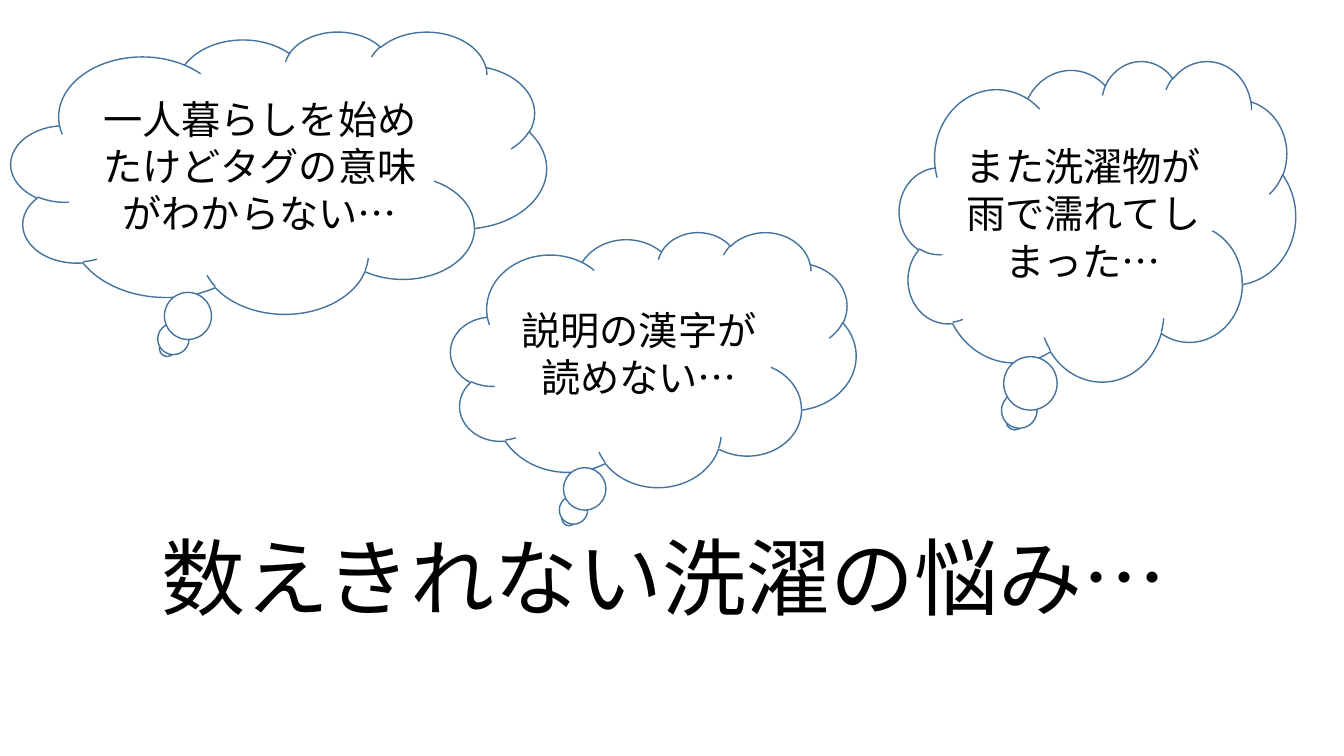
import pptx
import pptx.util
import pptx.dml.color
import pptx.enum.shapes
import pptx.enum.text
import pptx.oxml
import pptx.oxml.ns

WIDTH, HEIGHT = 13.33, 7.5
FACE = "Noto Sans CJK JP"
COLORS = {"paper": "FFFFFF", "line": "43739E", "ink": "000000"}
CLOUDS = [
    ("一人暮らしを始めたけどタグの意味がわからない…", (0.11, 0.31, 5.31, 2.8)),
    ("説明の漢字が読めない…", (4.47, 2.3, 4.02, 2.53)),
    ("また洗濯物が雨で濡れてしまった…", (8.92, 0.6, 3.93, 3.18)),
]
TITLE = ("数えきれない洗濯の悩み…", (1.19, 5.16, 10.79, 1.11))


def color(name):
    return pptx.dml.color.RGBColor.from_string(COLORS[name])


def inches(box):
    return [pptx.util.Inches(side) for side in box]


def write(shape, text, size):
    frame = shape.text_frame
    frame.word_wrap = True
    para = frame.paragraphs[0]
    para.text = text
    para.alignment = pptx.enum.text.PP_ALIGN.CENTER
    font = para.font
    font.size = pptx.util.Pt(size)
    font.color.rgb = color("ink")
    font.name = FACE
    props = para._p.pPr.find(pptx.oxml.ns.qn("a:defRPr"))
    east = pptx.oxml.parse_xml(
        f'<a:ea {pptx.oxml.ns.nsdecls("a")} typeface="{FACE}"/>')
    props.append(east)
    return frame


deck = pptx.Presentation()
deck.slide_width, deck.slide_height = inches((WIDTH, HEIGHT))
slide = deck.slides.add_slide(deck.slide_layouts[6])

for text, box in CLOUDS:
    cloud = slide.shapes.add_shape(
        pptx.enum.shapes.MSO_SHAPE.CLOUD_CALLOUT, *inches(box))
    cloud.shadow.inherit = False
    cloud.fill.solid()
    cloud.fill.fore_color.rgb = color("paper")
    cloud.line.color.rgb = color("line")
    cloud.line.width = pptx.util.Pt(1)
    frame = write(cloud, text, 28)
    frame.vertical_anchor = pptx.enum.text.MSO_ANCHOR.MIDDLE

text, box = TITLE
frame = write(slide.shapes.add_textbox(*inches(box)), text, 60)
frame.auto_size = pptx.enum.text.MSO_AUTO_SIZE.SHAPE_TO_FIT_TEXT

deck.save("out.pptx")
